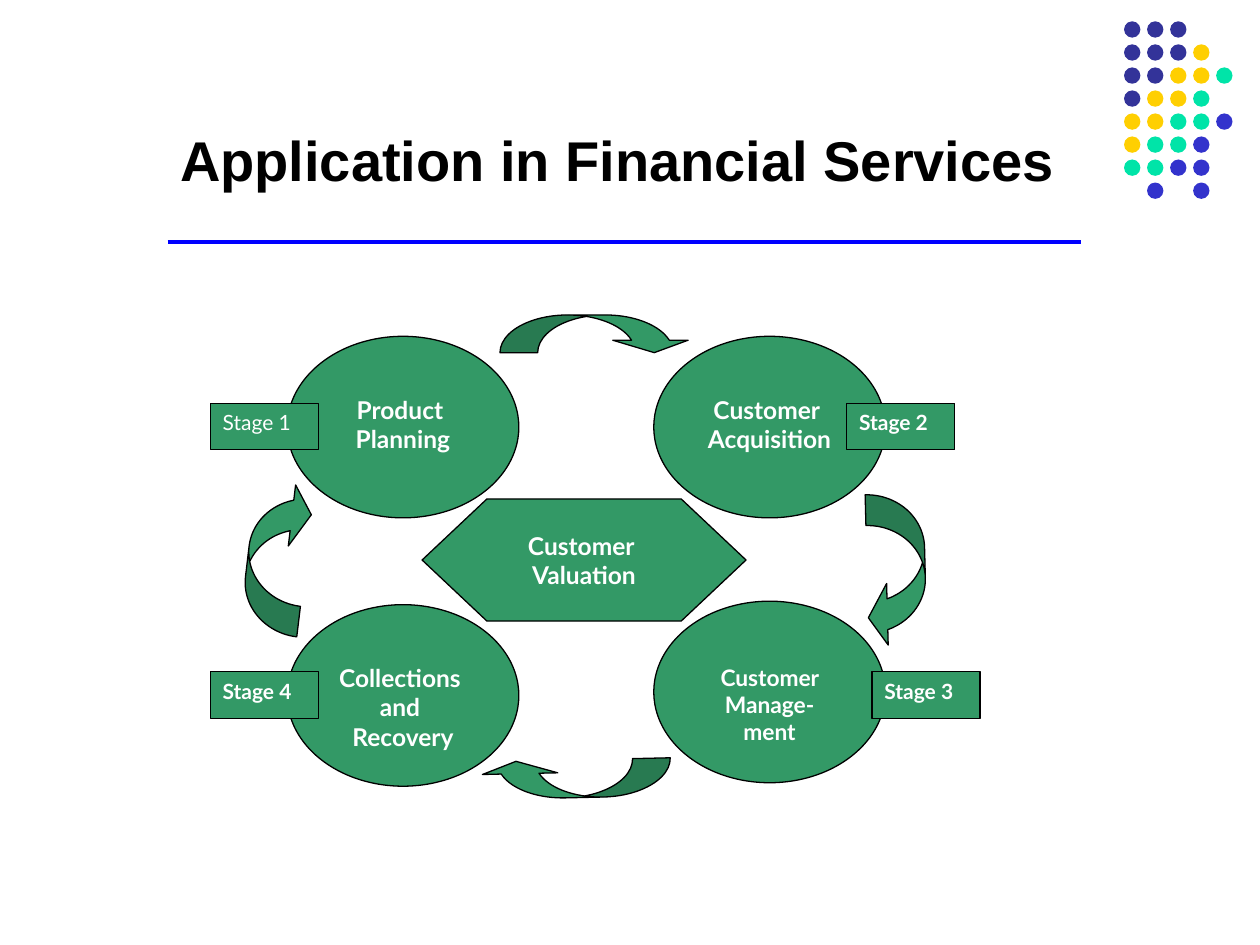
import dataclasses

import pptx
import pptx.dml.color
import pptx.enum.shapes
import pptx.enum.text
import pptx.oxml
import pptx.oxml.ns
import pptx.util

Cm = pptx.util.Cm
Pt = pptx.util.Pt
Kind = pptx.enum.shapes.MSO_SHAPE
Align = pptx.enum.text.PP_ALIGN
Anchor = pptx.enum.text.MSO_ANCHOR


def rgb(code):
    return pptx.dml.color.RGBColor.from_string(code)


@dataclasses.dataclass(frozen=True)
class Theme:
    green: str = "339966"
    outline: str = "000000"
    light: str = "FFFFFF"
    rule: str = "0000FF"
    navy: str = "333399"
    yellow: str = "FFCF01"
    mint: str = "00E4A8"
    blue: str = "3333CC"
    title_font: str = "Arial"
    body_font: str = "Lato"
    title_size: float = 32
    step_size: float = 14
    small_step_size: float = 13
    stage_size: float = 12
    outline_width: float = 0.75
    rule_width: float = 2.25


THEME = Theme()

DOT_ROWS = ("NNN  ", "NNNY ", "NNYYG", "NYYG ",
            "YYGGB", "YGGB ", "GGBB ", " B B ")
DOT_COLOURS = {"N": THEME.navy, "Y": THEME.yellow,
               "G": THEME.mint, "B": THEME.blue}
DOT_LEFT, DOT_TOP, DOT_SIZE = 22.66, 0.43, 0.33
DOT_PITCH = 3.25 / 7

STEP_WIDTH, STEP_HEIGHT = 4.67, 3.66
LEFT_STEP, RIGHT_STEP = 5.79, 13.18
STEPS = (  # left, top, lines, type size, top margin
    (LEFT_STEP, 6.78, ("Product ", "Planning"), THEME.step_size, 0.64),
    (RIGHT_STEP, 6.78, ("Customer ", "Acquisition"), THEME.step_size, 0.64),
    (LEFT_STEP, 12.19, ("Collections ", "and ", "Recovery"),
     THEME.step_size, 0.64),
    (RIGHT_STEP, 12.12, ("Customer Manage-ment",),
     THEME.small_step_size, 0.72),
)

STAGE_WIDTH, STAGE_HEIGHT = 2.18, 0.94
STAGES = (  # left, top, label, bold
    (4.24, 8.13, "Stage 1", False),
    (17.07, 8.13, "Stage 2", True),
    (4.24, 13.54, "Stage 4", True),
    (17.58, 13.54, "Stage 3", True),
)

SIDE_ARROW = (Kind.CURVED_LEFT_ARROW, 1.17, 3.1, (0.53, 1.06, 0.33))
FLAT_ARROW = (Kind.CURVED_DOWN_ARROW, 3.87, 0.76, (1, 2, 0.33))
ARROWS = (  # form, left, top, rotation
    (SIDE_ARROW, 5.0, 9.68, 186.8),
    (SIDE_ARROW, 17.48, 9.96, 358.5),
    (FLAT_ARROW, 10.08, 6.35, 0),
    (FLAT_ARROW, 9.65, 15.32, 178.7),
)


def set_all(target, values):
    for name, value in values.items():
        setattr(target, name, value)


def add_filled(shapes, kind, left, top, width, height, colour):
    shape = shapes.add_shape(kind, Cm(left), Cm(top), Cm(width), Cm(height))
    shape.shadow.inherit = False
    shape.fill.solid()
    shape.fill.fore_color.rgb = rgb(colour)
    shape.line.fill.background()
    return shape


def add_outlined(page, kind, left, top, width, height):
    shape = add_filled(page.shapes, kind, left, top, width, height,
                       THEME.green)
    shape.line.color.rgb = rgb(THEME.outline)
    shape.line.width = Pt(THEME.outline_width)
    return shape


def write(shape, lines, size, colour=THEME.light, font=THEME.body_font,
          bold=True, align=Align.CENTER, anchor=Anchor.TOP, margin_top=0.13):
    frame = shape.text_frame
    set_all(frame, {
        "word_wrap": True, "vertical_anchor": anchor,
        "margin_left": Cm(0.25), "margin_right": Cm(0.25),
        "margin_top": Cm(margin_top), "margin_bottom": Cm(0.13),
    })
    for number, line in enumerate(lines):
        para = frame.add_paragraph() if number else frame.paragraphs[0]
        para.alignment = align
        span = para.add_run()
        span.text = line
        set_all(span.font, {"name": font, "size": Pt(size), "bold": bold})
        span.font.color.rgb = rgb(colour)


def add_dots(page):
    group = page.shapes.add_group_shape()
    for row, marks in enumerate(DOT_ROWS):
        for column, mark in enumerate(marks):
            if mark in DOT_COLOURS:
                add_filled(group.shapes, Kind.OVAL,
                           DOT_LEFT + column * DOT_PITCH,
                           DOT_TOP + row * DOT_PITCH,
                           DOT_SIZE, DOT_SIZE, DOT_COLOURS[mark])


def add_rule(page, left, right, top):
    rule = page.shapes.add_connector(
        pptx.enum.shapes.MSO_CONNECTOR.STRAIGHT,
        Cm(left), Cm(top), Cm(right), Cm(top))
    rule.line.color.rgb = rgb(THEME.rule)
    rule.line.width = Pt(THEME.rule_width)
    properties = rule._element.spPr
    properties.append(properties.makeelement(
        pptx.oxml.ns.qn("a:effectLst"), {}))


def add_title(page, text):
    box = page.shapes.add_textbox(Cm(3.38), Cm(1.47), Cm(21.23), Cm(2.54))
    write(box, (text,), THEME.title_size, THEME.outline, THEME.title_font,
          align=Align.LEFT, anchor=Anchor.BOTTOM)


def add_step(page, left, top, lines, size, margin_top):
    step = add_outlined(page, Kind.OVAL, left, top, STEP_WIDTH, STEP_HEIGHT)
    write(step, lines, size, margin_top=margin_top)


def add_stage(page, left, top, label, bold):
    stage = add_outlined(page, Kind.RECTANGLE, left, top,
                         STAGE_WIDTH, STAGE_HEIGHT)
    write(stage, (label,), THEME.stage_size, bold=bold, align=Align.LEFT)


def add_arrow(page, form, left, top, rotation):
    kind, width, height, adjustments = form
    arrow = add_outlined(page, kind, left, top, width, height)
    for number, value in enumerate(adjustments):
        arrow.adjustments[number] = value
    arrow.rotation = rotation


def main():
    deck = pptx.Presentation()
    set_all(deck, {"slide_width": Cm(25.4), "slide_height": Cm(19.05)})
    page = deck.slides.add_slide(deck.slide_layouts[6])

    add_dots(page)
    add_rule(page, 3.38, 21.79, 4.88)
    add_title(page, "Application in Financial Services")
    for step in STEPS:
        add_step(page, *step)
    hub = add_outlined(page, Kind.FLOWCHART_PREPARATION,
                       8.51, 10.06, 6.53, 2.46)
    write(hub, ("Customer ", "Valuation"), THEME.step_size, margin_top=0.64)
    for stage in STAGES:
        add_stage(page, *stage)
    for arrow in ARROWS:
        add_arrow(page, *arrow)

    deck.save("out.pptx")


if __name__ == "__main__":
    main()
